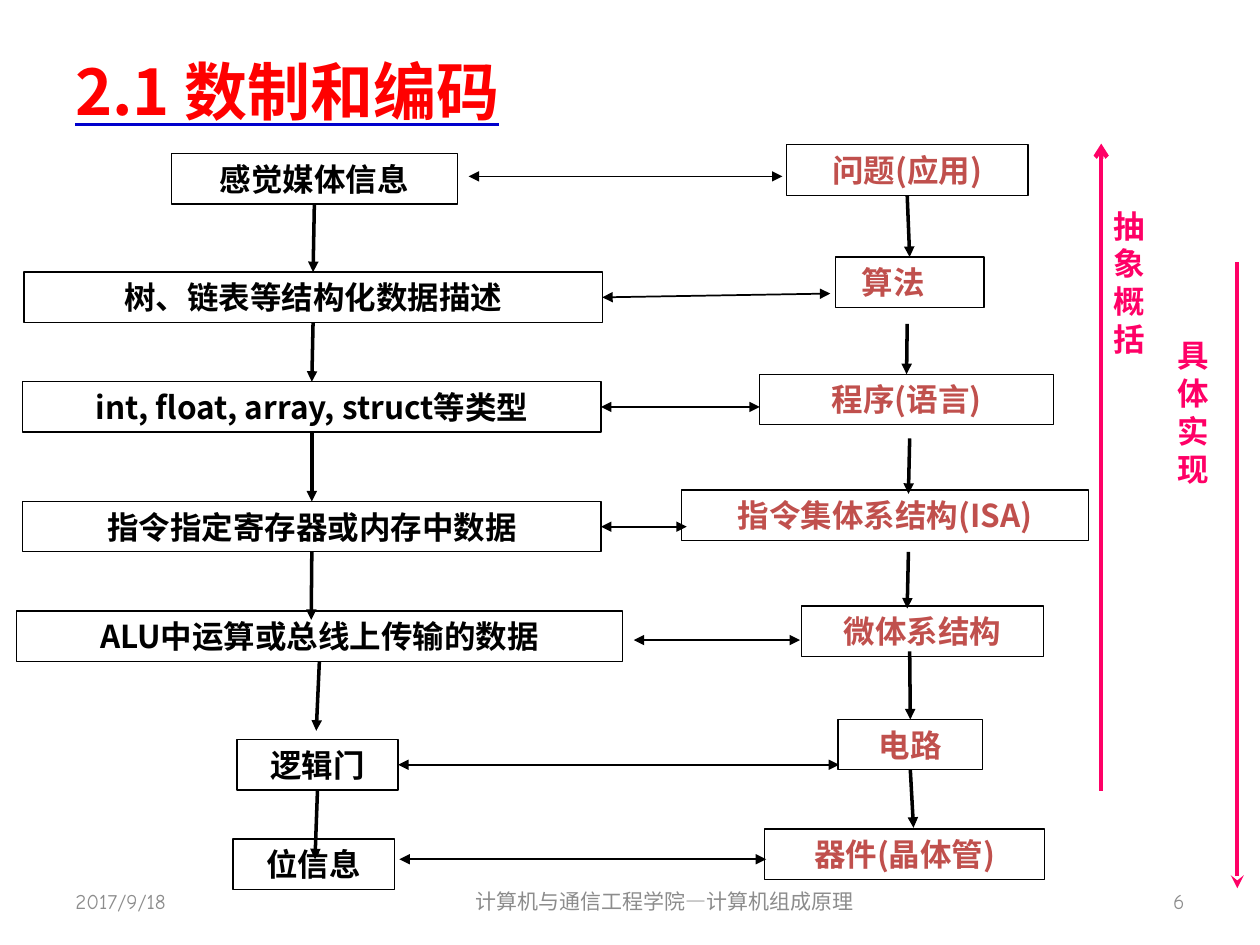
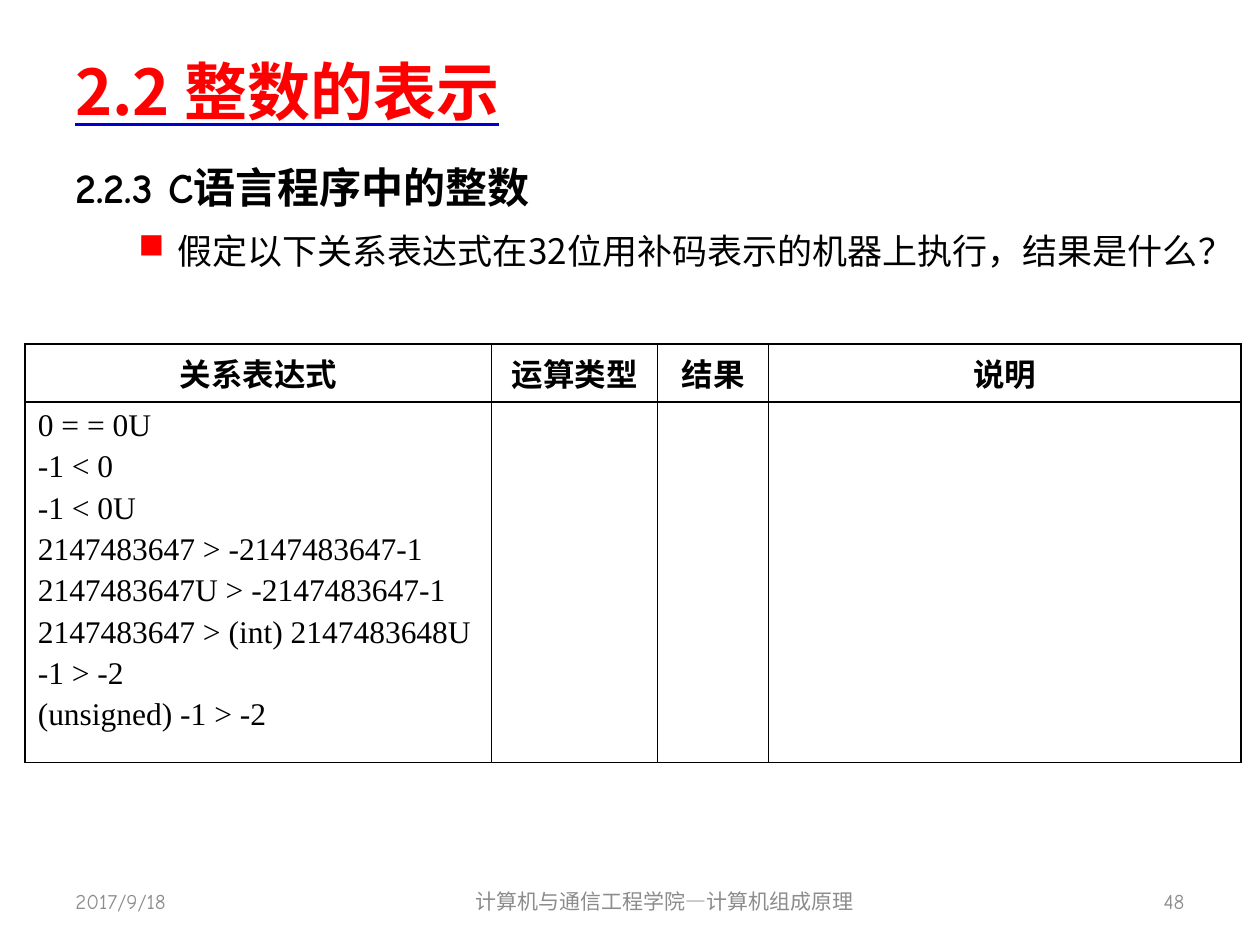
from lxml.etree import SubElement as Sub
from pptx import Presentation
from pptx.dml.color import RGBColor
from pptx.enum.shapes import MSO_CONNECTOR as Line, MSO_SHAPE as Shape
from pptx.enum.text import MSO_ANCHOR as Anchor, PP_ALIGN as Align
from pptx.oxml import parse_xml
from pptx.oxml.ns import qn, nsdecls
from pptx.util import Pt

PX = 9144  # 100 px to the inch
RED = RGBColor(0xFF, 0x00, 0x00)
BLUE = RGBColor(0x00, 0x00, 0xCC)
PINK = RGBColor(0xFF, 0x00, 0x66)
BRICK = RGBColor(0xC0, 0x50, 0x4D)
GRAY = RGBColor(0x8C, 0x8C, 0x8C)
BLACK = RGBColor(0x00, 0x00, 0x00)
SANS, COMIC, SERIF = "Noto Sans CJK SC", "Comic Neue", "Times New Roman"

# Content shared by the slides
DATE = "2017/9/18"
COURSE = "计算机与通信工程学院—计算机组成原理"

# Slide 1: boxes as text, left, top, width
BOX_H = 40
DATA = [
    ("感觉媒体信息", 136, 122, 227),
    ("树、链表等结构化数据描述", 19, 216, 459),
    ("int, float, array, struct等类型", 18, 303, 459),
    ("指令指定寄存器或内存中数据", 18, 398, 459),
    ("ALU中运算或总线上传输的数据", 13, 485, 481),
    ("逻辑门", 188, 587, 128),
    ("位信息", 185, 666, 128),
]
LEVELS = [
    ("问题(应用)", 624, 115, 192),
    ("算法", 663, 204, 118),
    ("程序(语言)", 603, 297, 233),
    ("指令集体系结构(ISA)", 541, 389, 323),
    ("微体系结构", 636, 481, 192),
    ("电路", 665, 571, 115),
    ("器件(晶体管)", 607, 658, 222),
]
# Downward arrows: x1, y1, x2, y2
STEPS = [
    (249, 162, 249, 214), (249, 257, 247, 303), (247, 344, 246, 397),
    (248, 438, 247, 492), (251, 526, 251, 580), (250, 628, 250, 682),
    (721, 155, 721, 205), (720, 257, 720, 299), (722, 348, 721, 392),
    (721, 438, 720, 483), (722, 517, 723, 571), (723, 611, 725, 657),
]
# Two-way arrows: right end, left end, y
PAIRS = [
    (621, 372, 140), (659, 478, 233), (603, 479, 323), (545, 479, 418),
    (635, 503, 508), (666, 319, 607), (608, 317, 682),
]
# Side axes: text, text left, text top, line x, y1, y2, heads
AXES = [
    ("具体实现", 925, 262, 982, 208, 705, {"tail": "stealth"}),
    ("抽象概括", 874, 159, 874, 114, 628, {"head": "arrow"}),
]

# Slide 2
TOPIC = "2.2.3 C语言程序中的整数"
TASK = "假定以下关系表达式在32位用补码表示的机器上执行，结果是什么？"
HEADS = ["关系表达式", "运算类型", "结果", "说明"]
EXPRS = [
    "0 = = 0U", "-1 < 0", "-1 < 0U", "2147483647 > -2147483647-1",
    "2147483647U > -2147483647-1", "2147483647 > (int) 2147483648U",
    "-1 > -2", "(unsigned) -1 > -2",
]
COLS, ROWS = [370, 132, 88, 375], [46, 275]


def px(*nums):
    return [n * PX for n in nums]


def style(para, size, face, color, bold=False, align=Align.LEFT):
    para.alignment = align
    for run in para.runs:
        font = run.font
        font.size, font.bold, font.name = Pt(size), bold, face
        font.color.rgb = color
        latin = font._element.find(qn("a:latin"))
        latin.addnext(parse_xml(f'<a:ea {nsdecls("a")} typeface="{SANS}"/>'))


def label(slide, text, box, *look, anchor=Anchor.MIDDLE):
    shape = slide.shapes.add_textbox(*px(*box))
    frame = shape.text_frame
    frame.word_wrap, frame.vertical_anchor = True, anchor
    frame.text = text
    for para in frame.paragraphs:
        style(para, *look)
    return frame


def base(deck, title, number):
    """Blank slide with the underlined title and the footer."""
    slide = deck.slides.add_slide(deck.slide_layouts[6])
    frame = label(slide, title, (50, 29, 900, 85), 36, SANS, RED, True)
    font = frame.paragraphs[0].runs[0].font
    font.underline = True
    font._element.find(qn("a:latin")).addprevious(parse_xml(
        f'<a:uFill {nsdecls("a")}><a:solidFill><a:srgbClr val="{BLUE}"/>'
        '</a:solidFill></a:uFill>'))
    for text, left, width, align in [
            (COURSE, 342, 371, Align.CENTER),
            (number, 717, 233, Align.RIGHT),
            (DATE, 50, 233, Align.LEFT)]:
        label(slide, text, (left, 695, width, 40), 12, COMIC, GRAY, False, align)
    return slide


def node(slide, text, left, top, width, color):
    box = slide.shapes.add_shape(Shape.RECTANGLE, *px(left, top, width, BOX_H))
    box.shadow.inherit = False
    box.fill.background()
    box.line.color.rgb, box.line.width = BLACK, Pt(0.75)
    frame = box.text_frame
    frame.word_wrap, frame.vertical_anchor = True, Anchor.MIDDLE
    frame.margin_top = frame.margin_bottom = 0
    frame.text = text
    style(frame.paragraphs[0], 18, SANS, color, True, Align.CENTER)
    return box


def near(boxes, x, y):
    """Box and side whose middle lies within 3 px of the point."""
    for box in boxes:
        mid, half = box.left + box.width // 2, box.top + box.height // 2
        sides = [(mid, box.top), (box.left, half),
                 (mid, box.top + box.height), (box.left + box.width, half)]
        for side, (sx, sy) in enumerate(sides):
            if max(abs(sx - x * PX), abs(sy - y * PX)) <= 3 * PX:
                return box, side
    return None


def arrow(slide, ends, color, width, boxes=(), **heads):
    link = slide.shapes.add_connector(Line.STRAIGHT, *px(*ends))
    link.line.color.rgb, link.line.width = color, Pt(width)
    for end in ("head", "tail"):
        if end in heads:
            Sub(link.line._get_or_add_ln(), qn(f"a:{end}End"), type=heads[end])
    Sub(link._element.spPr, qn("a:effectLst"))
    for join, point in [(link.begin_connect, ends[:2]), (link.end_connect, ends[2:])]:
        hit = near(boxes, *point)
        if hit:
            join(*hit)


def border(cell):
    props = cell._tc.get_or_add_tcPr()
    for at, side in enumerate(("lnL", "lnR", "lnT", "lnB")):
        props.insert(at, parse_xml(
            f'<a:{side} {nsdecls("a")} w="12700"><a:solidFill>'
            f'<a:srgbClr val="{BLACK}"/></a:solidFill></a:{side}>'))


def layers(deck):
    slide = base(deck, "2.1 数制和编码", "6")
    for text, left, top, x, y1, y2, heads in AXES:
        arrow(slide, (x, y1, x, y2), PINK, 2.5, **heads)
        frame = label(slide, text, (left, top, 52, 131), 18, SERIF, PINK, True,
                      anchor=Anchor.TOP)
        frame.paragraphs[0].line_spacing = Pt(21.6)
    boxes = [node(slide, *row, color)
             for rows, color in ((DATA, BLACK), (LEVELS, BRICK)) for row in rows]
    # The algorithm label sits left of its box's centre
    algo = boxes[len(DATA) + 1].text_frame
    algo.margin_left = 21 * PX
    algo.paragraphs[0].alignment = Align.LEFT
    for ends in STEPS:
        arrow(slide, ends, BLACK, 2, boxes, tail="triangle")
    for right, left, y in PAIRS:
        arrow(slide, (right, y, left, y), BLACK, 1, boxes,
              head="triangle", tail="triangle")


def integers(deck):
    slide = base(deck, "2.2 整数的表示", "48")
    frame = label(slide, TOPIC, (50, 123, 950, 140), 24, COMIC, BLACK, True,
                  anchor=Anchor.TOP)
    # Bulleted task
    task = frame.add_paragraph()
    task.text = TASK
    task.line_spacing, task.space_before = Pt(30), Pt(4)
    props = task._p.get_or_add_pPr()
    props.set("marL", str(81 * PX))
    props.set("indent", str(-31 * PX))
    Sub(Sub(props, qn("a:buClr")), qn("a:srgbClr"), val=str(RED))
    Sub(props, qn("a:buChar"), char="■")
    style(task, 20, SANS, BLACK)

    # Table of expressions
    table = slide.shapes.add_table(
        len(ROWS), len(COLS), *px(20, 273, sum(COLS), sum(ROWS))).table
    table.first_row = table.horz_banding = False
    for col, width in zip(table.columns, COLS):
        col.width = width * PX
    for row, height in zip(table.rows, ROWS):
        row.height = height * PX
    for cell, head in zip(table.rows[0].cells, HEADS):
        cell.text = head
        style(cell.text_frame.paragraphs[0], 18, SERIF, BLACK, True, Align.CENTER)
    body = table.cell(1, 0)
    body.text = "\n".join(EXPRS)
    for at, para in enumerate(body.text_frame.paragraphs):
        style(para, 18, SERIF, BLACK)
        if at:
            para.space_before = Pt(3.7)
    for cell in table.iter_cells():
        cell.fill.background()
        border(cell)


def main():
    deck = Presentation()
    deck.slide_width, deck.slide_height = px(1000, 750)
    layers(deck)
    integers(deck)
    deck.save("out.pptx")


if __name__ == "__main__":
    main()
